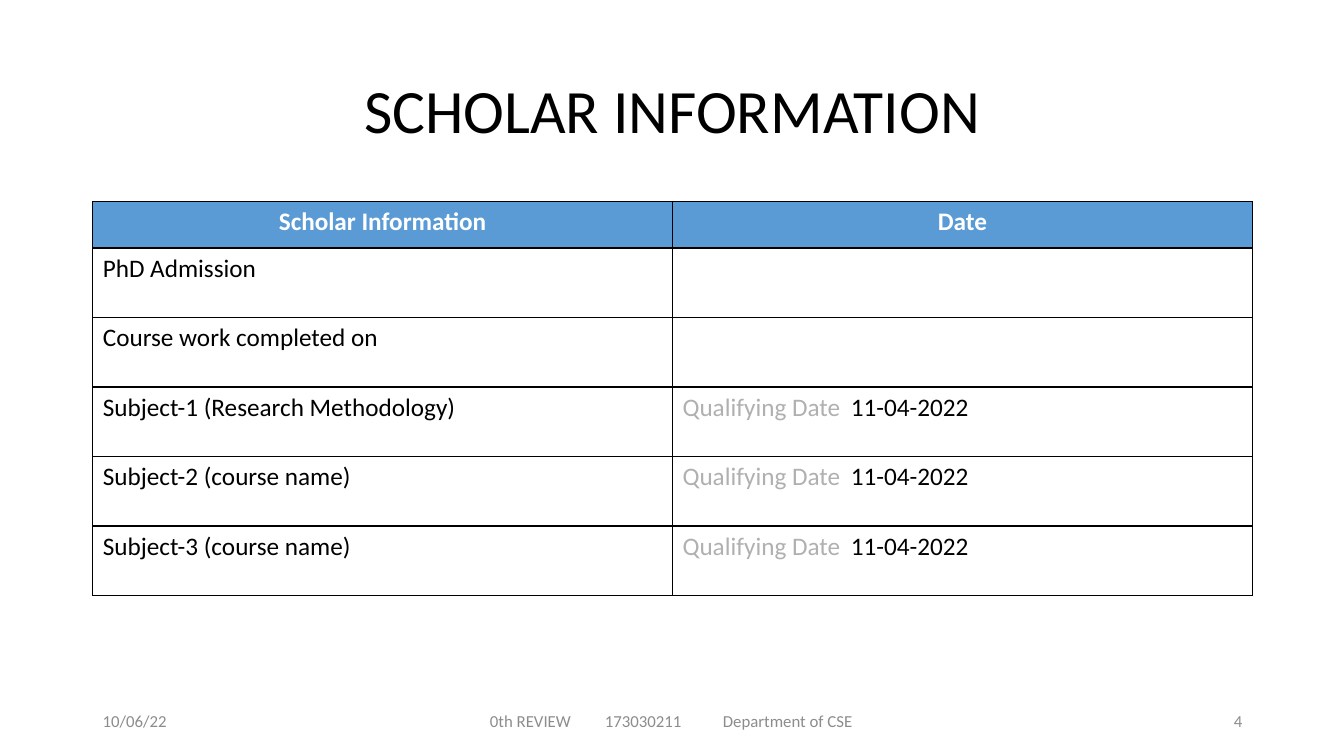
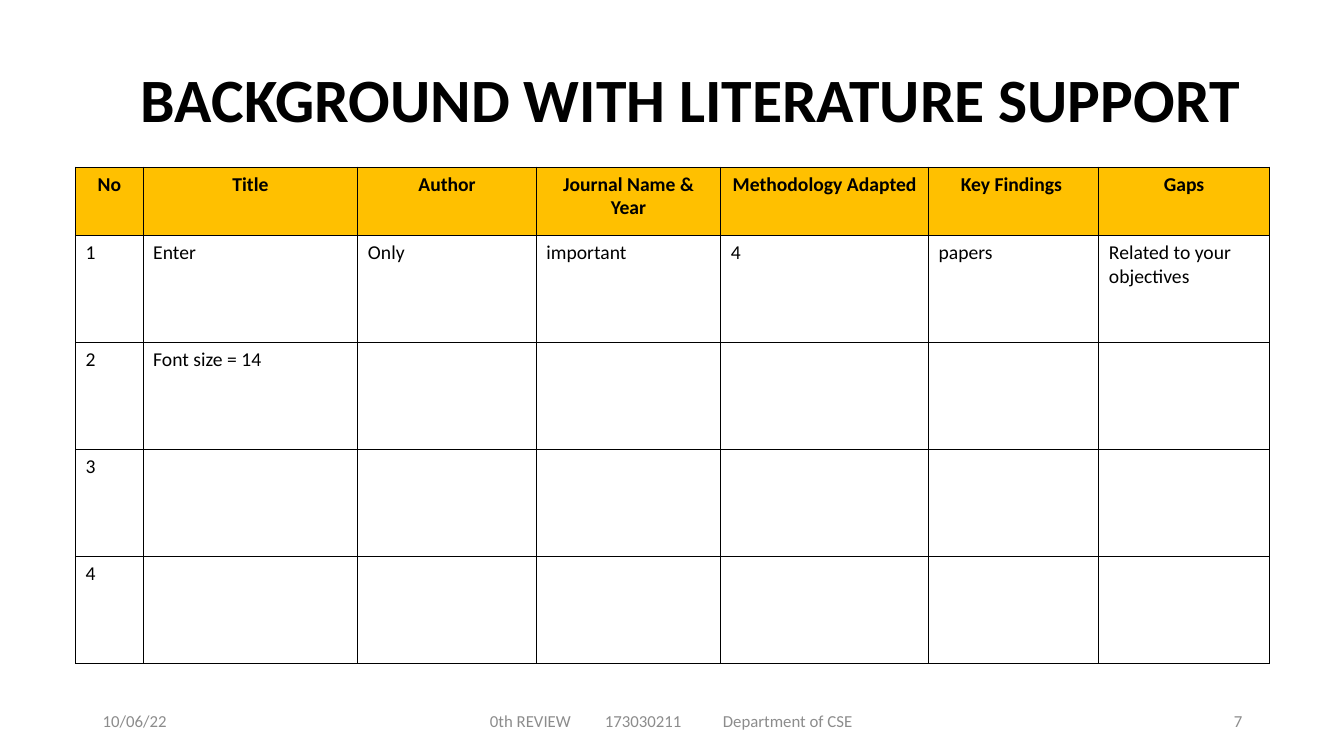
from lxml.etree import SubElement
from pptx import Presentation
from pptx.dml.color import RGBColor
from pptx.enum.text import MSO_ANCHOR, PP_ALIGN
from pptx.oxml.ns import qn
from pptx.util import Inches, Pt

FONT = "Calibri"
BLACK, WHITE, FOOTER_GREY, HINT_GREY = "000000", "FFFFFF", "8C8C8C", "B0B0B0"
BLUE, AMBER = "5B9BD5", "FFC000"
BORDER_SIDES = ("a:lnL", "a:lnR", "a:lnT", "a:lnB")


def color(hex_code):
    return RGBColor.from_string(hex_code)


def write(frame, text, size, ink=BLACK, bold=False, align=PP_ALIGN.LEFT, tabs=()):
    frame.word_wrap = True
    frame.text = text
    paragraph = frame.paragraphs[0]
    paragraph.alignment = align
    paragraph.font.size = Pt(size)
    for run in paragraph.runs:
        run.font.name = FONT
        run.font.size = Pt(size)
        run.font.bold = bold
        run.font.color.rgb = color(ink)
    if tabs:
        stops = SubElement(paragraph._p.get_or_add_pPr(), qn("a:tabLst"))
        for stop in tabs:
            SubElement(stops, qn("a:tab"), pos=str(Inches(stop)), algn="l")
    return paragraph


pages = [
    {
        "title": "SCHOLAR INFORMATION",
        "title_box": (0.92, 0.4, 11.5, 1.45),
        "title_bold": False,
        "number": "4",
        "table_at": (0.92, 2),
        "columns": [5.75, 5.75],
        "heights": [0.46] + [0.69] * 5,
        "header_fill": BLUE,
        "header_ink": WHITE,
        "size": 18,
        "rows": [
            ["Scholar Information", "Date"],
            ["PhD Admission"],
            ["Course work completed on"],
            ["Subject-1 (Research Methodology)", "Qualifying Date\t11-04-2022"],
            ["Subject-2 (course name)", "Qualifying Date\t11-04-2022"],
            ["Subject-3 (course name)", "Qualifying Date\t11-04-2022"],
        ],
    },
    {
        "title": "BACKGROUND WITH LITERATURE SUPPORT",
        "title_box": (1.29, 0.4, 11.13, 1.23),
        "title_bold": True,
        "number": "7",
        "table_at": (0.75, 1.66),
        "columns": [0.67, 2.13, 1.77, 1.83, 2.06, 1.69, 1.69],
        "heights": [0.68] + [1.06] * 4,
        "header_fill": AMBER,
        "header_ink": BLACK,
        "size": 14,
        "rows": [
            ["No", "Title", "Author", "Journal Name & Year",
             "Methodology Adapted", "Key Findings ", "Gaps"],
            ["1", "Enter", "Only", "important", "4", "papers",
             "Related to your objectives"],
            ["2", "Font size = 14"],
            ["3"],
            ["4"],
        ],
    },
]

deck = Presentation()
deck.slide_width, deck.slide_height = Inches(13.33), Inches(7.5)

for page in pages:
    slide = deck.slides.add_slide(deck.slide_layouts[6])

    title = slide.shapes.add_textbox(*map(Inches, page["title_box"])).text_frame
    title.vertical_anchor = MSO_ANCHOR.MIDDLE
    heading = write(title, page["title"], 44, bold=page["title_bold"], align=PP_ALIGN.CENTER)
    heading.line_spacing = 0.9

    columns, heights = page["columns"], page["heights"]
    bounds = (*page["table_at"], sum(columns), sum(heights))
    table = slide.shapes.add_table(len(heights), len(columns), *map(Inches, bounds)).table
    table.horz_banding = False
    for column, width in zip(table.columns, columns):
        column.width = Inches(width)
    for row, height in zip(table.rows, heights):
        row.height = Inches(height)

    for r, row in enumerate(table.rows):
        texts = page["rows"][r]
        is_header = r == 0
        for c, cell in enumerate(row.cells):
            text = texts[c] if c < len(texts) else ""
            write(
                cell.text_frame, text, page["size"],
                ink=page["header_ink"] if is_header else BLACK,
                bold=is_header,
                align=PP_ALIGN.CENTER if is_header else PP_ALIGN.LEFT,
                tabs=(1.67,) if "\t" in text else (),
            )
            if "\t" in text:
                hint, date = text.split("\t")
                paragraph = cell.text_frame.paragraphs[0]
                hint_run = paragraph.runs[0]
                hint_run.text = hint
                hint_run.font.color.rgb = color(HINT_GREY)
                date_run = paragraph.add_run()
                date_run.text = "\t" + date
                date_run.font.name = FONT
                date_run.font.size = Pt(page["size"])
                date_run.font.color.rgb = color(BLACK)
            cell_properties = cell._tc.get_or_add_tcPr()
            for side in BORDER_SIDES:
                border = SubElement(cell_properties, qn(side), w=str(Pt(1)))
                SubElement(SubElement(border, qn("a:solidFill")), qn("a:srgbClr"), val=BLACK)
            cell.fill.solid()
            cell.fill.fore_color.rgb = color(page["header_fill"] if is_header else WHITE)

    footers = [
        (0.92, 3, 0.1, "10/06/22", PP_ALIGN.LEFT, ()),
        (4.42, 4.5, 0.44, "0th REVIEW\t173030211\tDepartment of CSE", PP_ALIGN.LEFT, (1.14, 2.31)),
        (9.42, 3, 0.1, page["number"], PP_ALIGN.RIGHT, ()),
    ]
    for left, width, inset, text, align, tabs in footers:
        footer = slide.shapes.add_textbox(
            Inches(left), Inches(6.95), Inches(width), Inches(0.4)).text_frame
        footer.margin_left = Inches(inset)
        footer.vertical_anchor = MSO_ANCHOR.MIDDLE
        write(footer, text, 12, ink=FOOTER_GREY, align=align, tabs=tabs)

deck.save("out.pptx")
